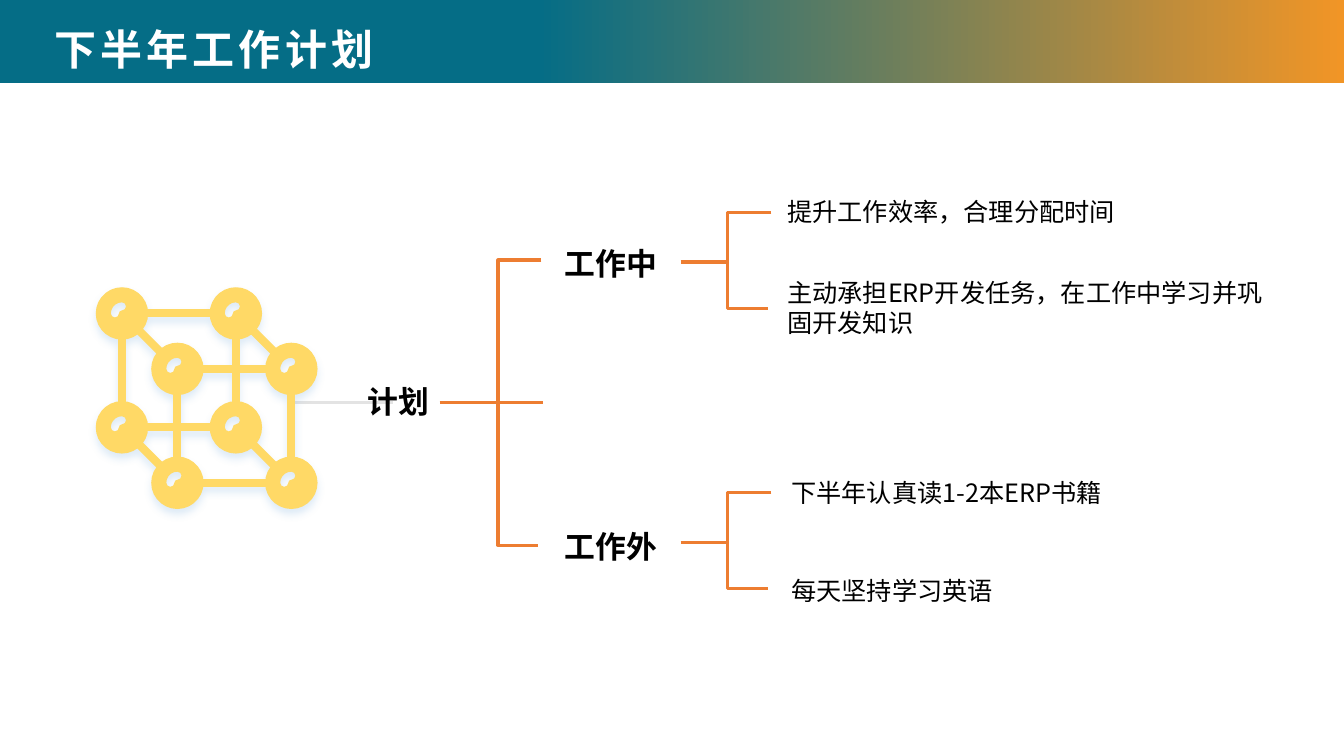
from itertools import combinations, product
from math import atan2, cos, hypot, pi, sin

from lxml.etree import SubElement
from pptx import Presentation
from pptx.dml.color import RGBColor
from pptx.enum.shapes import MSO_CONNECTOR, MSO_SHAPE
from pptx.enum.text import MSO_ANCHOR, PP_ALIGN
from pptx.oxml.ns import qn
from pptx.util import Inches, Pt

TEAL = RGBColor(0x05, 0x6D, 0x86)
AMBER = RGBColor(0xF1, 0x95, 0x26)
ORANGE = RGBColor(0xED, 0x7D, 0x31)
YELLOW = RGBColor(0xFF, 0xD9, 0x66)
BLUE = RGBColor(0x5B, 0x9B, 0xD5)
GRAY = RGBColor(0xE3, 0xE3, 0xE3)
WHITE = RGBColor(0xFF, 0xFF, 0xFF)
BLACK = RGBColor(0, 0, 0)
FONT = "Noto Sans CJK SC"
LINE_WIDTH = 2.25
BRANCH_GAP = 0.95
BALL_RADIUS = 0.26
ROD_HALF = 0.04


def add_text(slide, box, text, size, color=BLACK, bold=False, align=PP_ALIGN.LEFT):
    text_box = slide.shapes.add_textbox(*map(Inches, box))
    frame = text_box.text_frame
    frame.word_wrap = True
    frame.text = text
    paragraph = frame.paragraphs[0]
    paragraph.alignment = align
    font = paragraph.runs[0].font
    font.size, font.bold, font.name = Pt(size), bold, FONT
    font.color.rgb = color
    SubElement(font._element, qn("a:ea"), typeface=FONT)
    return frame


def add_line(slide, start, end, color):
    points = map(Inches, (*start, *end))
    connector = slide.shapes.add_connector(MSO_CONNECTOR.STRAIGHT, *points)
    connector.line.color.rgb = color
    connector.line.width = Pt(LINE_WIDTH)
    SubElement(connector._element.spPr, qn("a:effectLst"))


def add_freeform(slide, contours, color, close):
    builder = None
    for contour in contours:
        start, *rest = [(Inches(x), Inches(y)) for x, y in contour]
        if builder is None:
            builder = slide.shapes.build_freeform(*start)
        else:
            builder.move_to(*start)
        builder.add_line_segments(rest, close=close)
    shape = builder.convert_to_shape()
    shape.shadow.inherit = False
    shape.fill.solid()
    shape.fill.fore_color.rgb = color
    return shape


def add_bracket(slide, left, top, height):
    right = left + 0.43
    corners = [(right, top), (left, top), (left, top + height), (right - 0.03, top + height)]
    bracket = add_freeform(slide, [corners], WHITE, False)
    bracket.line.color.rgb = ORANGE
    bracket.line.width = Pt(LINE_WIDTH)


def add_header(slide, width, bottom):
    box = (0, -0.04, width, bottom + 0.04)
    band = slide.shapes.add_shape(MSO_SHAPE.RECTANGLE, *map(Inches, box))
    band.shadow.inherit = False
    band.line.fill.background()
    band.fill.gradient()
    band.fill.gradient_angle = 0
    for stop, color, position in zip(band.fill.gradient_stops, (TEAL, AMBER), (0.4, 1)):
        stop.color.rgb = color
        stop.position = position
    frame = add_text(slide, (0.44, -0.07, 6.95, 1.17), "下半年工作计划", 30, WHITE, True)
    frame.vertical_anchor = MSO_ANCHOR.MIDDLE
    paragraph = frame.paragraphs[0]
    paragraph.line_spacing = 0.9
    paragraph.runs[0].font._element.set("spc", "300")


def arc(x, y, radius, start, end, steps):
    angles = [(start + (end - start) * step / steps) * pi / 180 for step in range(steps + 1)]
    return [(x + radius * cos(angle), y + radius * sin(angle)) for angle in angles]


def ball_contour(x, y):
    return (arc(x, y, BALL_RADIUS, 180, -180, 28)
            + arc(x, y, 0.11, 180, 270, 5)
            + arc(x, y - 0.07, 0.04, 270, 450, 4)
            + arc(x, y, 0.03, 270, 180, 2)
            + arc(x - 0.07, y, 0.04, 0, 180, 4))


def rod_contour(start, end):
    (x1, y1), (x2, y2) = start, end
    angle = atan2(y2 - y1, x2 - x1)
    inset = BALL_RADIUS - 0.01
    reach = hypot(x2 - x1, y2 - y1) - inset
    corners = [(inset, -ROD_HALF), (reach, -ROD_HALF), (reach, ROD_HALF), (inset, ROD_HALF)]
    return [(x1 + along * cos(angle) - across * sin(angle),
             y1 + along * sin(angle) + across * cos(angle)) for along, across in corners]


def split_contours(shape):
    outline = next(shape._element.iter(qn("a:path")))
    target = None
    for command in list(outline):
        if command.tag == qn("a:moveTo"):
            target = SubElement(outline.getparent(), qn("a:path"), **dict(outline.attrib))
        target.append(command)
    outline.getparent().remove(outline)


def add_soft_shadow(shape):
    effects = shape._element.spPr.find(qn("a:effectLst"))
    shadow = SubElement(effects, qn("a:outerShdw"), blurRad=str(Pt(6)),
                        dist=str(Pt(4)), dir="5400000", rotWithShape="0")
    color = SubElement(shadow, qn("a:srgbClr"), val=str(BLUE))
    SubElement(color, qn("a:alpha"), val="20000")


def add_lattice(slide, left, top, side, depth):
    def place(corner):
        column, row, layer = corner
        return left + column * side + layer * depth, top + row * side + layer * depth

    corners = list(product((0, 1), repeat=3))
    rods = [rod_contour(place(first), place(second))
            for first, second in combinations(corners, 2)
            if sum(a != b for a, b in zip(first, second)) == 1]
    balls = [ball_contour(*place(corner)) for corner in corners]
    lattice = add_freeform(slide, rods + balls, YELLOW, True)
    lattice.line.fill.background()
    split_contours(lattice)
    add_soft_shadow(lattice)


def add_label(slide, left, top, text):
    add_text(slide, (left, top, 1.7, 0.47), text, 22, bold=True, align=PP_ALIGN.CENTER)


def add_trunk(slide, left, top, height):
    add_bracket(slide, left, top, height)
    middle = top + height / 2
    add_line(slide, (left - 0.58, middle), (left + 0.45, middle), ORANGE)
    add_line(slide, (left - 2.06, middle), (left - 1.04, middle), GRAY)
    add_label(slide, left - 1.84, middle - 0.25, "计划")


def add_branch(slide, left, top, label, label_drop, items):
    add_line(slide, (left - 0.47, top + 0.49), (left + 0.08, top + 0.49), ORANGE)
    add_bracket(slide, left, top, BRANCH_GAP)
    add_label(slide, left - 2.01, top + label_drop, label)
    for text, x, y, width, height in items:
        add_text(slide, (left + x, top + y, width, height), text, 18)


def main():
    presentation = Presentation()
    presentation.slide_width, presentation.slide_height = Inches(13.33), Inches(7.5)
    slide = presentation.slides.add_slide(presentation.slide_layouts[6])
    add_header(slide, 13.33, 0.82)
    add_trunk(slide, 4.94, 2.58, 2.83)
    add_lattice(slide, 1.21, 3.11, 1.13, 0.55)
    add_branch(slide, 7.22, 2.11, "工作中", 0.27, [
        ("提升工作效率，合理分配时间", 0.49, -0.21, 3.5, 0.4),
        ("主动承担ERP开发任务，在工作中学习并巩固开发知识", 0.49, 0.59, 5.09, 0.71),
    ])
    add_branch(slide, 7.22, 4.89, "工作外", 0.3, [
        ("下半年认真读1-2本ERP书籍", 0.53, -0.2, 3.34, 0.71),
        ("每天坚持学习英语", 0.53, 0.77, 2.3, 0.4),
    ])
    presentation.save("out.pptx")


if __name__ == "__main__":
    main()
